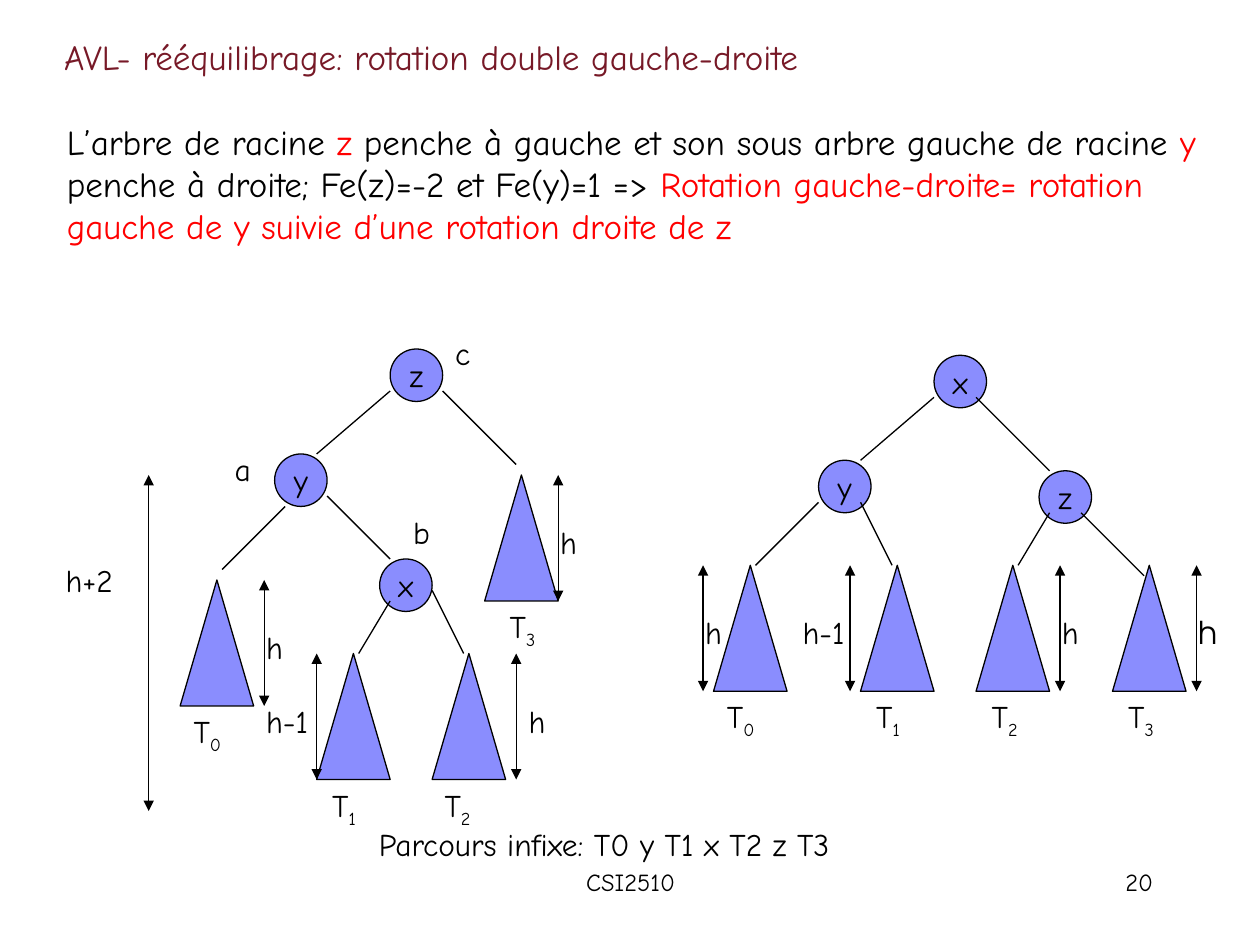
from dataclasses import dataclass

from lxml.etree import SubElement
from pptx import Presentation
from pptx.dml.color import RGBColor
from pptx.enum.shapes import MSO_CONNECTOR, MSO_SHAPE
from pptx.enum.text import MSO_ANCHOR, MSO_AUTO_SIZE, PP_ALIGN
from pptx.oxml.ns import qn
from pptx.util import Inches, Pt


@dataclass(frozen=True)
class Theme:
    font: str = "Comic Neue"
    other_font: str = "TeX Gyre Adventor"
    heading: int = 20
    label: int = 18
    footer: int = 14
    black: RGBColor = RGBColor(0, 0, 0)
    title: RGBColor = RGBColor(0x77, 0x19, 0x27)
    accent: RGBColor = RGBColor(0xFF, 0, 0)
    node: RGBColor = RGBColor(0x8A, 0x8D, 0xFE)
    line: float = 0.75


THEME = Theme()
CELL = 1 / 12  # grid step of the trees, in inches
NODE = 5  # node diameter, in cells
TREE_WIDTH, TREE_HEIGHT = 7, 12  # subtree triangle, in cells

# Places are (column, row) in cells, from the top left of each tree's box
BEFORE = {
    "nodes": [("z", 23, 0), ("y", 12, 10), ("x", 22, 20)],
    "edges": [(23, 4, 16, 10), (28, 4, 35, 11), (13, 15, 7, 21),
              (17, 14, 23, 20), (23, 24, 20, 29), (27, 23, 30, 29)],
    # index, column, row, label shift
    "subtrees": [("0", 3, 22, 0.1), ("1", 16, 29, 0.3),
                 ("2", 27, 29, 0), ("3", 32, 12, 1.2)],
    # text, column, row, length, label shift across, label shift down, font
    "heights": [("h", 11, 22, 12, -1, 4, THEME.font),
                ("h+2", 0, 12, 32, -9.1, 7.6, THEME.font),
                ("h", 39, 12, 12, -1, 4, THEME.font),
                ("h-1", 16, 29, 12, -6, 4, THEME.font),
                ("h", 35, 29, 12, 0, 4, THEME.font)],
    "names": [("a", 7, 9), ("b", 24, 15), ("c", 28, -2)],
}
AFTER = {
    "nodes": [("x", 22, 0), ("y", 11, 10), ("z", 32, 11)],
    "edges": [(22, 4, 15, 10), (26, 4, 33, 11), (11, 14, 5, 20),
              (15, 14, 18, 20), (33, 15, 30, 20), (36, 15, 42, 21)],
    "subtrees": [("0", 1, 20, 0.1), ("1", 15, 20, 0.3),
                 ("2", 26, 20, 0.3), ("3", 39, 20, 0.3)],
    "heights": [("h", 0, 20, 12, -1, 4, THEME.font),
                ("h-1", 14, 20, 12, -5.7, 4, THEME.font),
                ("h", 34, 20, 12, -1, 4, THEME.font),
                ("h", 47, 20, 12, -1, 4, THEME.other_font)],
    "names": [],
}


def format_run(run, size, color=THEME.black, font=THEME.font):
    run.font.name = font
    run.font.size = Pt(size)
    run.font.color.rgb = color


def place(shape, left, top, width, height):
    shape.left, shape.top = Inches(left), Inches(top)
    shape.width, shape.height = Inches(width), Inches(height)


def add_text(slide, text, left, top, width, height, size=THEME.label,
             align=PP_ALIGN.LEFT, font=THEME.font):
    box = slide.shapes.add_textbox(Inches(left), Inches(top), Inches(width), Inches(height))
    frame = box.text_frame
    frame.text = text
    frame.word_wrap = True
    frame.auto_size = MSO_AUTO_SIZE.NONE
    paragraph = frame.paragraphs[0]
    paragraph.alignment = align
    format_run(paragraph.runs[0], size, font=font)
    return paragraph


def add_solid(slide, kind, left, top, width, height):
    shape = slide.shapes.add_shape(
        kind, Inches(left), Inches(top), Inches(width), Inches(height))
    shape.shadow.inherit = False
    shape.fill.solid()
    shape.fill.fore_color.rgb = THEME.node
    shape.line.color.rgb = THEME.black
    shape.line.width = Pt(THEME.line)
    return shape


def add_line(slide, start, end, arrows=False):
    connector = slide.shapes.add_connector(
        MSO_CONNECTOR.STRAIGHT, *(Inches(value) for value in (*start, *end)))
    connector.line.color.rgb = THEME.black
    connector.line.width = Pt(THEME.line)
    if arrows:
        line = connector.line._get_or_add_ln()
        for tag in ("a:headEnd", "a:tailEnd"):
            SubElement(line, qn(tag), type="triangle")
    SubElement(connector._element.spPr, qn("a:effectLst"))


def add_tree(slide, left, top, tree):
    def at(column, row):
        return left + column * CELL, top + row * CELL

    # Nodes
    for name, column, row in tree["nodes"]:
        node = add_solid(slide, MSO_SHAPE.OVAL, *at(column, row), NODE * CELL, NODE * CELL)
        frame = node.text_frame
        frame.text = name
        frame.word_wrap = False
        frame.vertical_anchor = MSO_ANCHOR.MIDDLE
        frame.paragraphs[0].alignment = PP_ALIGN.CENTER
        format_run(frame.paragraphs[0].runs[0], THEME.label)

    # Subtrees with their indexed labels
    for index, column, row, shift in tree["subtrees"]:
        add_solid(slide, MSO_SHAPE.ISOSCELES_TRIANGLE, *at(column, row),
                  TREE_WIDTH * CELL, TREE_HEIGHT * CELL)
        paragraph = add_text(slide, "T", *at(column + shift, row + TREE_HEIGHT), 0.5, 0.44)
        subscript = paragraph.add_run()
        subscript.text = index
        format_run(subscript, THEME.label)
        subscript._r.get_or_add_rPr().set("baseline", "-25000")

    # Edges
    for x1, y1, x2, y2 in tree["edges"]:
        add_line(slide, at(x1, y1), at(x2, y2))

    # Height arrows
    for text, column, row, length, across, down, font in tree["heights"]:
        add_line(slide, at(column, row), at(column, row + length), arrows=True)
        width = 0.35 if text == "h" else 0.65
        add_text(slide, text, *at(column + across, row + down), width, 0.4, font=font)

    # Names beside the nodes
    for name, column, row in tree["names"]:
        add_text(slide, name, *at(column, row), 0.35, 0.4)


def add_heading(slide):
    title = slide.shapes.title
    place(title, 0.41, 0.23, 9.4, 0.84)
    title.text_frame.text = "AVL- rééquilibrage: rotation double gauche-droite"
    title.text_frame.vertical_anchor = MSO_ANCHOR.TOP
    title.text_frame.auto_size = MSO_AUTO_SIZE.NONE
    paragraph = title.text_frame.paragraphs[0]
    paragraph.alignment = PP_ALIGN.LEFT
    format_run(paragraph.runs[0], THEME.heading, THEME.title)


def add_explanation(slide):
    body = slide.placeholders[1]
    place(body, 0.43, 0.91, 9.21, 1.1)
    body.text_frame.auto_size = MSO_AUTO_SIZE.NONE
    paragraph = body.text_frame.paragraphs[0]
    properties = paragraph._p.get_or_add_pPr()
    properties.set("marL", "0")
    properties.set("indent", "0")
    SubElement(properties, qn("a:buNone"))
    paragraph.space_before = Pt(0)
    for text, color in [
        ("L’arbre de racine ", THEME.black),
        ("z", THEME.accent),
        (" penche à gauche et son sous arbre gauche de racine ", THEME.black),
        ("y", THEME.accent),
        (" penche à droite; Fe(z)=-2 et Fe(y)=1 => ", THEME.black),
        ("Rotation gauche-droite= rotation gauche de y suivie d’une rotation droite de z",
         THEME.accent),
    ]:
        run = paragraph.add_run()
        run.text = text
        format_run(run, THEME.heading, color)


def add_footer(slide):
    add_text(slide, "Parcours infixe: T0 y T1 x T2 z T3", 2.91, 6.5, 3.9, 0.4)
    add_text(slide, "CSI2510", 3.42, 6.83, 3.17, 0.5, THEME.footer, PP_ALIGN.CENTER)
    add_text(slide, "20", 7.17, 6.83, 2.08, 0.5, THEME.footer, PP_ALIGN.RIGHT)


def main():
    presentation = Presentation()
    presentation.slide_width, presentation.slide_height = Inches(10), Inches(7.5)
    slide = presentation.slides.add_slide(presentation.slide_layouts[1])
    add_heading(slide)
    add_explanation(slide)
    add_tree(slide, 1.18, 2.77, BEFORE)
    add_tree(slide, 5.58, 2.82, AFTER)
    add_footer(slide)
    presentation.save("out.pptx")


if __name__ == "__main__":
    main()
